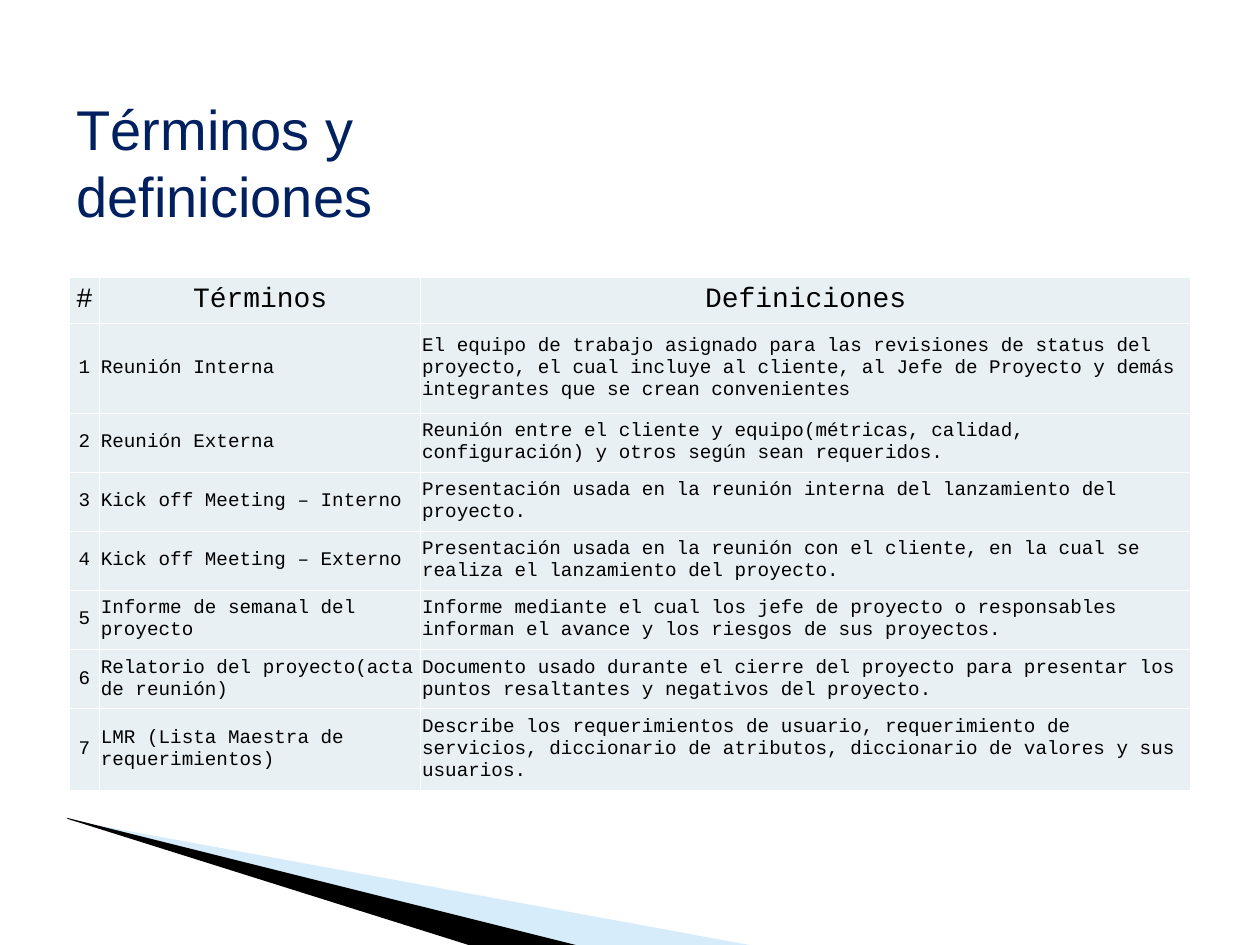
from typing import NamedTuple

from lxml.etree import SubElement
from pptx import Presentation
from pptx.dml.color import RGBColor
from pptx.enum.text import MSO_ANCHOR as Anchor, PP_ALIGN as Align
from pptx.oxml.ns import qn
from pptx.util import Inches, Pt

NAVY = RGBColor(0x00, 0x20, 0x60)
BLACK = RGBColor(0x00, 0x00, 0x00)
WHITE = RGBColor(0xFF, 0xFF, 0xFF)
PALE = RGBColor(0xE8, 0xF0, 0xF4)
SKY = RGBColor(0x9B, 0xD0, 0xF4)

COLUMN_WIDTHS = (0.24, 2.55, 6.11)
HEADER = ("#", "Términos", "Definiciones")
HEADER_HEIGHT = 0.29


class Term(NamedTuple):
    name: str
    definition: str
    height: float = 0.47


class Wedge(NamedTuple):
    points: tuple
    color: RGBColor
    opacity: int = 100


TERMS = (
    Term("Reunión Interna",
         "El equipo de trabajo asignado para las revisiones de status del proyecto, "
         "el cual incluye al cliente, al Jefe de Proyecto y demás integrantes que se "
         "crean convenientes", 0.71),
    Term("Reunión Externa",
         "Reunión entre el cliente y equipo(métricas, calidad, configuración) y otros "
         "según sean requeridos."),
    Term("Kick off Meeting – Interno",
         "Presentación usada en la reunión interna del lanzamiento del proyecto.", 0.31),
    Term("Kick off Meeting – Externo",
         "Presentación usada en la reunión con el cliente, en la cual se realiza el "
         "lanzamiento del proyecto."),
    Term("Informe de semanal del proyecto",
         "Informe mediante el cual los jefe de proyecto o responsables informan el "
         "avance y los riesgos de sus proyectos."),
    Term("Relatorio del proyecto(acta de reunión)",
         "Documento usado durante el cierre del proyecto para presentar los puntos "
         "resaltantes y negativos del proyecto."),
    Term("LMR (Lista Maestra de requerimientos)",
         "Describe los requerimientos de usuario, requerimiento de servicios, "
         "diccionario de atributos, diccionario de valores y sus usuarios.", 0.51),
)

WEDGES = (
    Wedge(((0.55, 6.51), (5.95, 7.5), (4.56, 7.5), (0.55, 6.5)), SKY, 40),
    Wedge(((0.53, 6.49), (4.57, 7.5), (3.72, 7.5), (0.54, 6.5)), BLACK),
)


def add_run(p, text: str, font: str, size: float, color: RGBColor) -> None:
    r = p.add_run()
    r.text = text
    r.font.name = font
    r.font.size = Pt(size)
    r.font.color.rgb = color


def add_wedge(s, wedge: Wedge) -> None:
    start, *rest = [(Inches(x), Inches(y)) for x, y in wedge.points]
    builder = s.shapes.build_freeform(*start)
    builder.add_line_segments(rest, close=True)
    sp = builder.convert_to_shape()
    sp.shadow.inherit = False
    sp.line.fill.background()
    sp.fill.solid()
    sp.fill.fore_color.rgb = wedge.color
    if wedge.opacity < 100:
        color = sp.fill._xPr.find(qn("a:solidFill"))[0]
        SubElement(color, qn("a:alpha"), val=str(wedge.opacity * 1000))


def add_title(s, text: str) -> None:
    box = s.shapes.add_textbox(Inches(0.51), Inches(0.7), Inches(4.87), Inches(0.64))
    tf = box.text_frame
    tf.word_wrap = False
    add_run(tf.paragraphs[0], text, "Arial", 32, NAVY)


def add_borders(cell) -> None:
    """Draw thin white lines on all four sides; call before filling the cell."""
    tc_pr = cell._tc.get_or_add_tcPr()
    for side in ("lnL", "lnR", "lnT", "lnB"):
        ln = SubElement(tc_pr, qn(f"a:{side}"), w=str(Pt(0.45)))
        fill = SubElement(ln, qn("a:solidFill"))
        SubElement(fill, qn("a:srgbClr"), val=str(WHITE))


def fill_cell(cell, text: str, size: float, align: Align) -> None:
    add_borders(cell)
    cell.fill.solid()
    cell.fill.fore_color.rgb = PALE
    cell.vertical_anchor = Anchor.MIDDLE
    cell.margin_left = cell.margin_right = Inches(0.01)
    cell.margin_top = cell.margin_bottom = Inches(0.05)
    p = cell.text_frame.paragraphs[0]
    p.alignment = align
    add_run(p, text, "Courier New", size, BLACK)


def add_terms_table(s) -> None:
    heights = [HEADER_HEIGHT] + [term.height for term in TERMS]
    table = s.shapes.add_table(
        len(heights), len(COLUMN_WIDTHS), Inches(0.55), Inches(2.2),
        Inches(sum(COLUMN_WIDTHS)), Inches(sum(heights))).table
    for column, width in zip(table.columns, COLUMN_WIDTHS):
        column.width = Inches(width)
    for row, height in zip(table.rows, heights):
        row.height = Inches(height)

    for col, text in enumerate(HEADER):
        fill_cell(table.cell(0, col), text, 16, Align.CENTER)
    for number, term in enumerate(TERMS, 1):
        for col, text in enumerate((str(number), term.name, term.definition)):
            align = Align.LEFT if col else Align.CENTER
            fill_cell(table.cell(number, col), text, 11, align)


def main() -> None:
    prs = Presentation()
    prs.slide_width, prs.slide_height = Inches(10), Inches(7.5)
    s = prs.slides.add_slide(prs.slide_layouts[6])
    for wedge in WEDGES:
        add_wedge(s, wedge)
    add_title(s, "Términos y definiciones")
    add_terms_table(s)
    prs.save("out.pptx")


if __name__ == "__main__":
    main()
